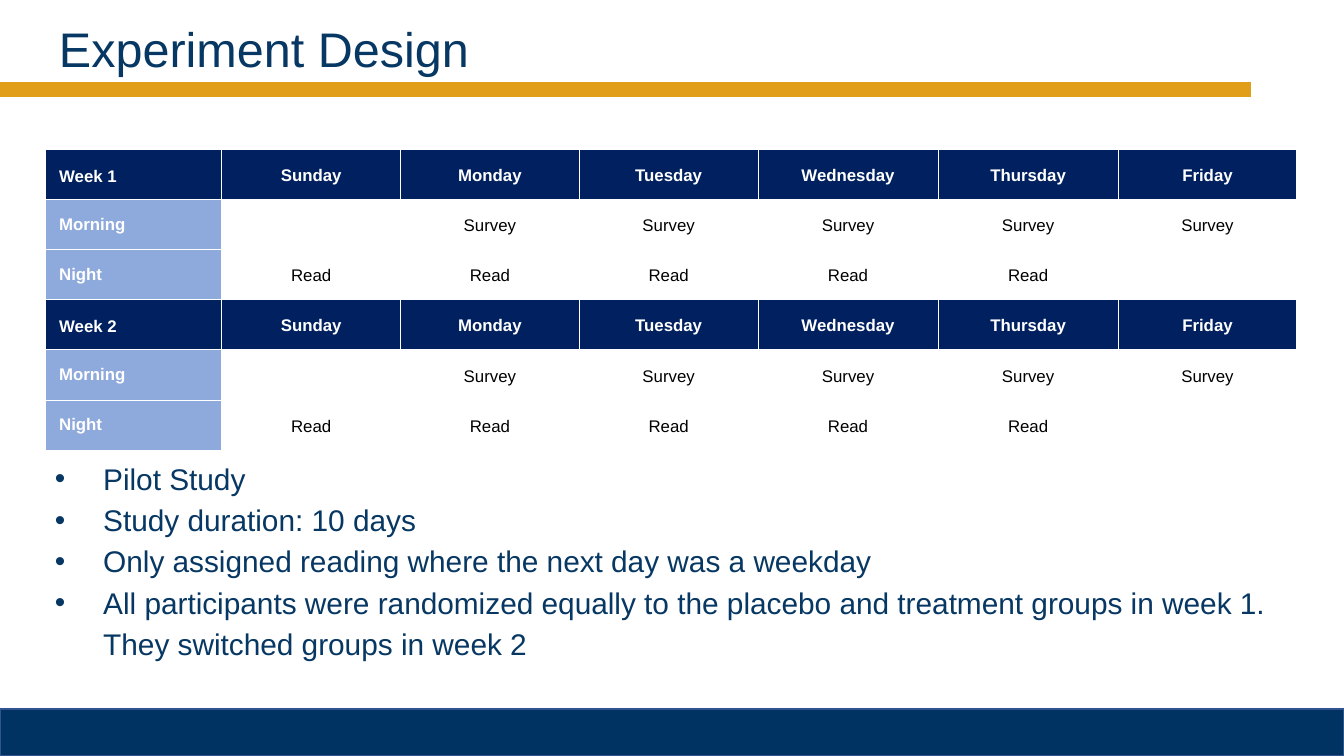
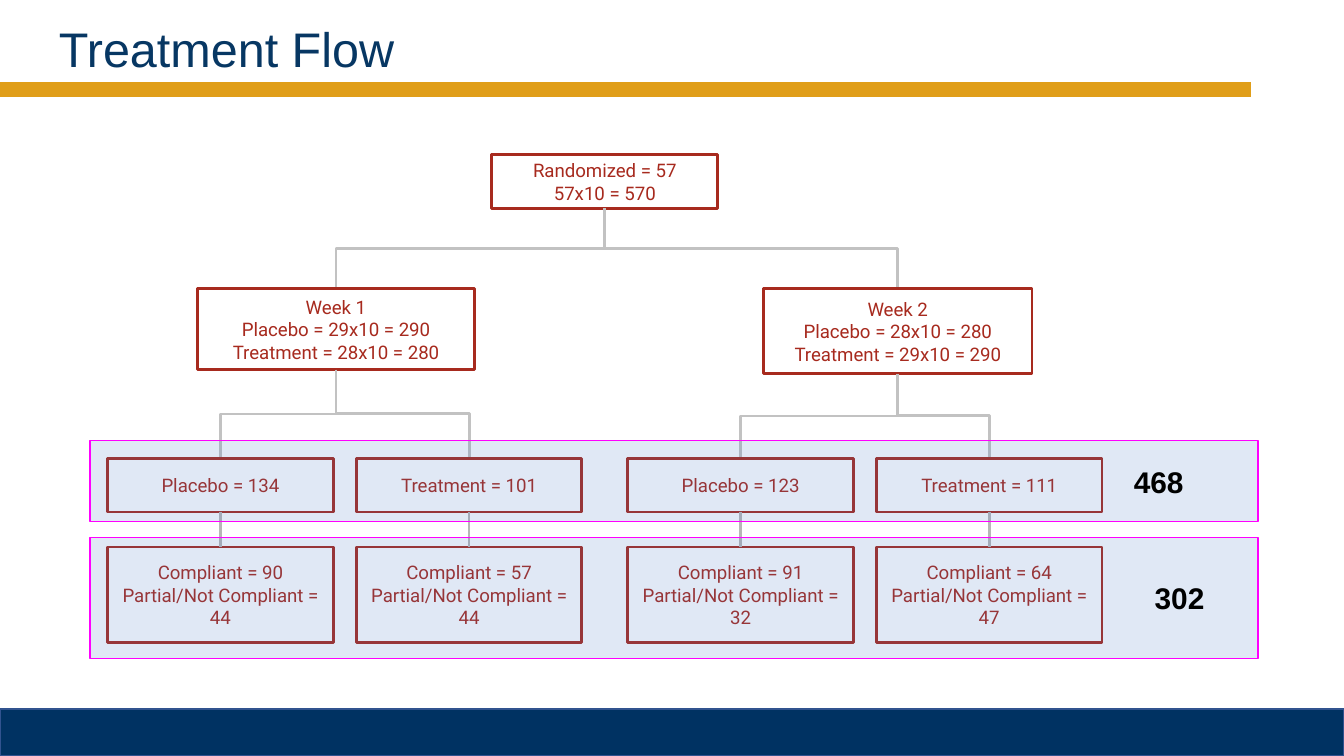
from pptx import Presentation
from pptx.dml.color import RGBColor
from pptx.enum.shapes import MSO_CONNECTOR as Link, MSO_SHAPE as Shape
from pptx.enum.text import MSO_ANCHOR as Anchor, PP_ALIGN as Align
from pptx.oxml.ns import qn
from pptx.util import Inches, Pt
from lxml.etree import SubElement

NAVY = RGBColor(0x00, 0x32, 0x62)
NAVY_EDGE = RGBColor(0x31, 0x53, 0x8F)
GOLD = RGBColor(0xE0, 0x9E, 0x19)
INK = RGBColor(0x07, 0x37, 0x63)
HEADER = RGBColor(0x00, 0x20, 0x60)
SIDE = RGBColor(0x8E, 0xA9, 0xDB)
RED = RGBColor(0xA7, 0x2A, 0x1E)
BRANCH = RGBColor(0xC2, 0xC2, 0xC2)
STEM = RGBColor(0xB7, 0xB7, 0xB7)
BAND = RGBColor(0x44, 0x72, 0xC4)
MAGENTA = RGBColor(0xFF, 0x00, 0xFF)
WHITE = RGBColor(0xFF, 0xFF, 0xFF)
BLACK = RGBColor(0x00, 0x00, 0x00)

# The grid has square units: 100 columns by 56.25 rows
COLUMNS, ROWS = 100, 56.25
UNIT = Inches(10) / COLUMNS


def grid(*lengths):
    return [round(length * UNIT) for length in lengths]


class Deck:
    """Holds the shared style and the current page."""

    def __init__(self):
        self.deck = Presentation()
        self.deck.slide_width, self.deck.slide_height = grid(COLUMNS, ROWS)
        self.page = None

    def new_page(self, title):
        self.page = self.deck.slides.add_slide(self.deck.slide_layouts[6])
        self.box(0, 52.75, COLUMNS, 3.5, fill=NAVY, line=NAVY_EDGE, weight=1)
        self.line(0, 6.67, 93.1, 6.67, GOLD, 8)
        frame = self.text_box(3.4, 0.7, 93.2, 6.3)
        frame.vertical_anchor = Anchor.MIDDLE
        self.set_text(frame.paragraphs[0], title, 26, INK, spacing=0.9)

    def set_text(self, para, text, size, color, font="Arial", bold=False,
                 align=Align.LEFT, spacing=None):
        if text:
            para.add_run().text = text
        else:
            end = SubElement(para._p, qn("a:endParaRPr"))
            end.set("sz", str(size * 100))
        para.alignment = align
        para.line_spacing = spacing
        para.font.name, para.font.size, para.font.bold = font, Pt(size), bold
        para.font.color.rgb = color

    def text_box(self, left, top, width, height):
        frame = self.page.shapes.add_textbox(*grid(left, top, width, height)).text_frame
        frame.word_wrap = True
        return frame

    def bullets(self, left, top, width, height, items):
        frame = self.text_box(left, top, width, height)
        for index, item in enumerate(items):
            para = frame.add_paragraph() if index else frame.paragraphs[0]
            props = para._p.get_or_add_pPr()
            props.set("marL", str(Inches(0.5)))
            props.set("indent", str(Inches(-0.36)))
            tint = SubElement(props, qn("a:buClr"))
            SubElement(tint, qn("a:srgbClr")).set("val", str(INK))
            SubElement(props, qn("a:buFont")).set("typeface", "Arial")
            SubElement(props, qn("a:buChar")).set("char", "•")
            self.set_text(para, item, 16, INK, spacing=1.15)
        frame.paragraphs[0].space_before = Pt(10)

    def box(self, left, top, width, height, lines=(), fill=None, line=RED,
            weight=1.5, size=10, color=RED, font="Roboto", bold=False):
        box = self.page.shapes.add_shape(Shape.RECTANGLE, *grid(left, top, width, height))
        box.shadow.inherit = False
        box.line.color.rgb, box.line.width = line, Pt(weight)
        if fill is None:
            box.fill.background()
        else:
            box.fill.solid()
            box.fill.fore_color.rgb = fill
        frame = box.text_frame
        frame.word_wrap, frame.vertical_anchor = True, Anchor.MIDDLE
        frame.margin_top = frame.margin_bottom = Inches(0.1)
        for index, text in enumerate(lines):
            para = frame.add_paragraph() if index else frame.paragraphs[0]
            self.set_text(para, text, size, color, font, bold, Align.CENTER)
        return box

    def band(self, top, height, total, inset):
        """See-through strip with its total towards the right end."""
        band = self.box(6.7, top, 86.9, height, [total], BAND, MAGENTA, 0.75,
                        16, BLACK, "Arial", True)
        band.text_frame.margin_left = grid(inset)[0]
        tint = band._element.spPr.find(qn("a:solidFill"))[0]
        SubElement(tint, qn("a:alpha")).set("val", "16000")

    def line(self, x1, y1, x2, y2, color, weight, kind=Link.STRAIGHT):
        line = self.page.shapes.add_connector(kind, *grid(x1, y1, x2, y2))
        line.line.color.rgb, line.line.width = color, Pt(weight)
        SubElement(line._element.spPr, qn("a:effectLst"))
        return line

    def branch(self, parent_x, parent_y, child_x, child_y):
        """Elbow that leaves downwards: a level one turned by 270 degrees."""
        middle_x, middle_y = (parent_x + child_x) / 2, (parent_y + child_y) / 2
        reach = (child_y - parent_y) / 2
        spread = abs(child_x - parent_x) / 2
        if child_x > parent_x:
            reach = -reach
        line = self.line(middle_x - reach, middle_y - spread,
                         middle_x + reach, middle_y + spread, BRANCH, 1.5, Link.ELBOW)
        line._element.spPr.find(qn("a:xfrm")).set("rot", str(270 * 60000))

    def table(self, left, top, widths, row_height, rows):
        size = grid(left, top, sum(widths), row_height * len(rows))
        table = self.page.shapes.add_table(len(rows), len(widths), *size).table
        for column, width in zip(table.columns, grid(*widths)):
            column.width = width
        for r, texts in enumerate(rows):
            table.rows[r].height = grid(row_height)[0]
            for c, text in enumerate(texts):
                self.cell(table.cell(r, c), text, texts[0].startswith("Week"), c == 0)

    def cell(self, cell, text, header, side):
        cell.margin_left = cell.margin_right = Inches(0.1)
        cell.margin_top = cell.margin_bottom = Inches(0.1)
        cell.vertical_anchor = Anchor.BOTTOM if header and side else Anchor.MIDDLE
        strong = header or side
        self.set_text(cell.text_frame.paragraphs[0], text, 9, WHITE if strong else BLACK,
                      bold=strong, align=Align.LEFT if side else Align.CENTER,
                      spacing=None if side else 1.15)
        # Borders come before the fill
        props = cell._tc.get_or_add_tcPr()
        for edge in ("a:lnL", "a:lnR", "a:lnT", "a:lnB"):
            border = SubElement(props, qn(edge), w=str(Pt(0.5)))
            paint = SubElement(border, qn("a:solidFill"))
            SubElement(paint, qn("a:srgbClr")).set("val", str(WHITE))
        if strong:
            cell.fill.solid()
            cell.fill.fore_color.rgb = HEADER if header else SIDE
        else:
            cell.fill.background()


def experiment_design(deck):
    deck.new_page("Experiment Design")
    days = ["Sunday", "Monday", "Tuesday", "Wednesday", "Thursday", "Friday"]
    rows = []
    for week in ("Week 1", "Week 2"):
        rows += [[week] + days,
                 ["Morning", ""] + ["Survey"] * 5,
                 ["Night"] + ["Read"] * 5 + [""]]
    deck.bullets(1.7, 33.4, 96.6, 17.7, [
        "Pilot Study",
        "Study duration: 10 days",
        "Only assigned reading where the next day was a weekday",
        "All participants were randomized equally to the placebo and treatment "
        "groups in week 1. They switched groups in week 2",
    ])
    deck.table(3.4, 11.1, [13.1, 13.3, 13.3, 13.3, 13.4, 13.4, 13.3], 3.5, rows)


def treatment_flow(deck):
    deck.new_page("Treatment Flow")
    root_x, root_bottom, week_top = 45, 15.5, 21.5
    arm_top, arm_height, result_top, result_height = 34.1, 4, 40.7, 7.1
    arm_width, arm_step, week_step = 16.8, 18.5, 38.7

    # Each week: centre, width, height, lines, then its two arms
    weeks = [
        (25, 20.6, 6, ["Week 1", "Placebo = 29x10 = 290", "Treatment = 28x10 = 280"],
         [("Placebo = 134", 90, 44), ("Treatment = 101", 57, 44)]),
        (66.8, 20, 6.3, ["Week 2", "Placebo = 28x10 = 280", "Treatment = 29x10 = 290"],
         [("Placebo = 123", 91, 32), ("Treatment = 111", 64, 47)]),
    ]
    deck.box(root_x - arm_width / 2, 11.5, arm_width, 4,
             ["Randomized = 57", "57x10 = 570"])
    for w, (week_x, width, height, lines, arms) in enumerate(weeks):
        deck.branch(root_x, root_bottom, week_x, week_top)
        deck.box(week_x - width / 2, week_top, width, height, lines)
        for a, (arm, compliant, partial) in enumerate(arms):
            arm_x = 16.4 + w * week_step + a * arm_step
            left = arm_x - arm_width / 2
            deck.branch(week_x, week_top + height, arm_x, arm_top)
            deck.box(left, arm_top, arm_width, arm_height, [arm])
            deck.box(left, result_top, arm_width, result_height,
                     [f"Compliant = {compliant}", f"Partial/Not Compliant = {partial}"])
            deck.line(arm_x, arm_top + arm_height, arm_x, result_top, STEM, 1.5)

    # Totals lie over the boxes
    deck.band(32.8, 6, "468", 73.1)
    deck.band(40, 9, "302", 76.2)


def main():
    deck = Deck()
    experiment_design(deck)
    treatment_flow(deck)
    deck.deck.save("out.pptx")


if __name__ == "__main__":
    main()
